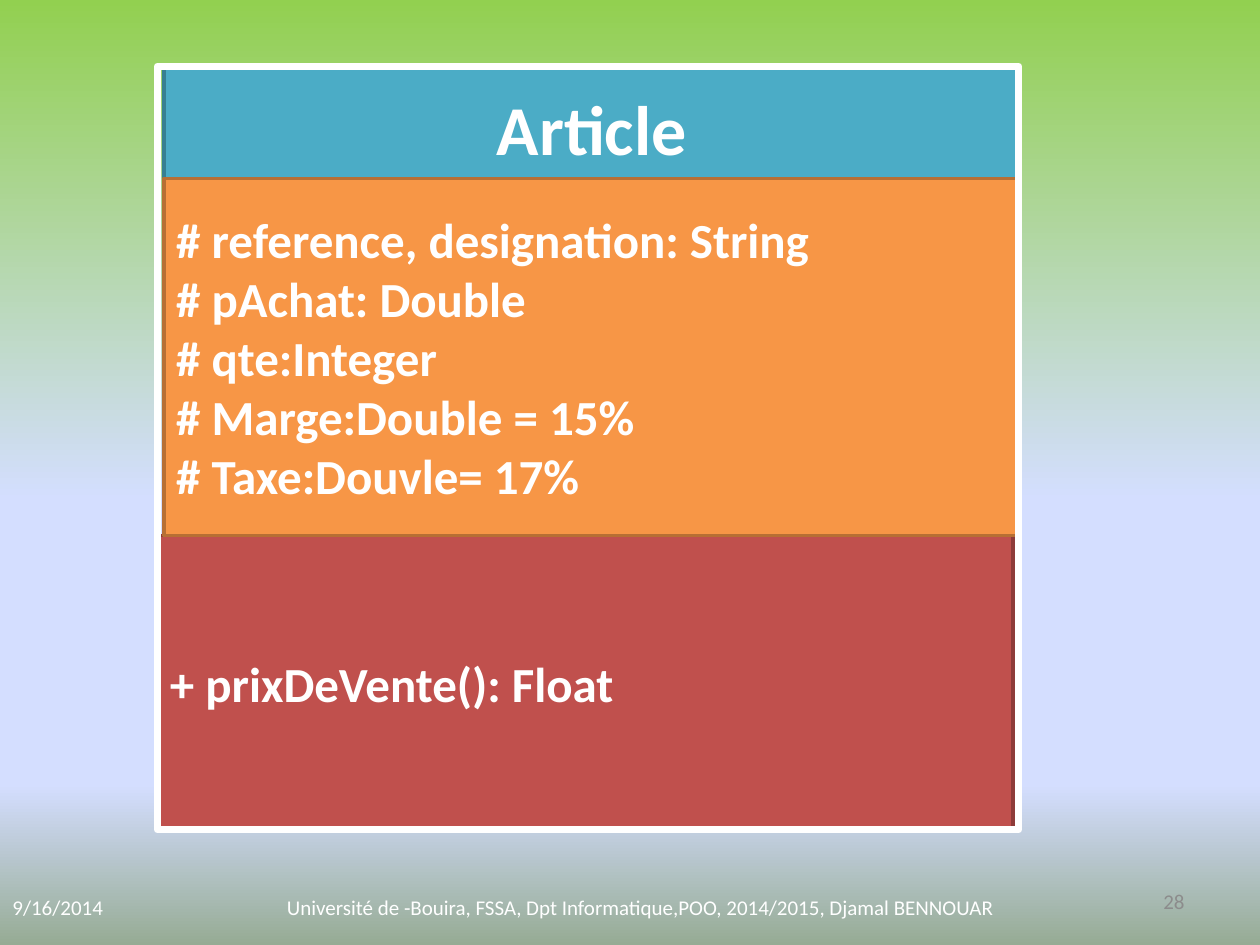
"""Build a slide with the class diagram of Article over a gradient background."""
from dataclasses import dataclass
from typing import Optional

import lxml.etree
import pptx
import pptx.dml.color
import pptx.enum.shapes
import pptx.enum.text
import pptx.oxml.ns
import pptx.util

Pt = pptx.util.Pt
Align = pptx.enum.text.PP_ALIGN


@dataclass(frozen=True)
class Theme:
    font: str = "Calibri"
    light: str = "FFFFFF"
    muted: str = "8C8C8C"
    name_fill: str = "4BACC6"
    name_line: str = "377F92"
    attribute_fill: str = "F79646"
    attribute_line: str = "B76F34"
    method_fill: str = "C0504D"
    method_line: str = "8E3B39"
    background: tuple = ((0, "92D050"), (53, "D4DEFF"), (83, "D4DEFF"), (100, "96AB94"))
    name_size: int = 40
    member_size: int = 28
    footer_size: int = 12


THEME = Theme()


@dataclass(frozen=True)
class Label:
    text: str
    size: int
    color: str = THEME.light
    bold: bool = False
    align: Align = Align.LEFT


@dataclass(frozen=True)
class Footer:
    left: float
    top: float
    width: float
    label: Label


@dataclass(frozen=True)
class Compartment:
    left: float
    top: float
    width: float
    height: float
    line: str
    line_width: float = 2
    fill: Optional[str] = None
    label: Optional[Label] = None


FOOTER_HEIGHT = 28.8
FOOTERS = (
    Footer(0, 504, 90, Label("9/16/2014", THEME.footer_size)),
    Footer(78, 504, 576, Label(
        "Université de -Bouira, FSSA, Dpt Informatique,POO, 2014/2015, Djamal BENNOUAR",
        THEME.footer_size, align=Align.CENTER)),
    Footer(516, 500.4, 168, Label("28", THEME.footer_size, THEME.muted, align=Align.RIGHT)),
)
ATTRIBUTES = "\n".join((
    "# reference, designation: String",
    "# pAchat: Double",
    "# qte:Integer",
    "# Marge:Double = 15%",
    "# Taxe:Douvle= 17%",
))
COMPARTMENTS = (
    Compartment(90, 306, 489, 168, THEME.method_line, fill=THEME.method_fill,
                label=Label("+ prixDeVente(): Float", THEME.member_size, bold=True)),
    Compartment(93.6, 38, 489, 70, THEME.name_line, fill=THEME.name_fill,
                label=Label("Article", THEME.name_size, bold=True, align=Align.CENTER)),
    Compartment(93.6, 102, 489, 204, THEME.attribute_line, fill=THEME.attribute_fill,
                label=Label(ATTRIBUTES, THEME.member_size, bold=True)),
    Compartment(90, 38, 492, 436, THEME.light, line_width=4.5),
)


def rgb(color: str) -> pptx.dml.color.RGBColor:
    return pptx.dml.color.RGBColor.from_string(color)


def paint_background(page) -> None:
    fill = page.background.fill
    fill.gradient()
    fill.gradient_angle = 270
    qn = pptx.oxml.ns.qn
    stops = next(page.background._cSld.iter(qn("a:gsLst")))
    for stop in list(stops):
        stops.remove(stop)
    for position, color in THEME.background:
        stop = lxml.etree.SubElement(stops, qn("a:gs"), pos=str(position * 1000))
        lxml.etree.SubElement(stop, qn("a:srgbClr"), val=color)


def write(box, label: Label) -> None:
    frame = box.text_frame
    frame.word_wrap = True
    frame.vertical_anchor = pptx.enum.text.MSO_ANCHOR.MIDDLE
    frame.text = label.text
    for para in frame.paragraphs:
        para.alignment = label.align
        for span in para.runs:
            span.font.name = THEME.font
            span.font.size = Pt(label.size)
            span.font.bold = label.bold
            span.font.color.rgb = rgb(label.color)


def draw_footer(page, footer: Footer) -> None:
    box = page.shapes.add_textbox(
        Pt(footer.left), Pt(footer.top), Pt(footer.width), Pt(FOOTER_HEIGHT))
    write(box, footer.label)


def draw_compartment(group, part: Compartment) -> None:
    box = group.shapes.add_shape(
        pptx.enum.shapes.MSO_SHAPE.RECTANGLE,
        Pt(part.left), Pt(part.top), Pt(part.width), Pt(part.height))
    box.shadow.inherit = False
    box.line.color.rgb = rgb(part.line)
    box.line.width = Pt(part.line_width)
    if part.fill:
        box.fill.solid()
        box.fill.fore_color.rgb = rgb(part.fill)
    else:
        box.fill.background()
    if part.label:
        write(box, part.label)


def main() -> None:
    deck = pptx.Presentation()
    deck.slide_width, deck.slide_height = Pt(720), Pt(540)
    page = deck.slides.add_slide(deck.slide_layouts[6])
    paint_background(page)
    for footer in FOOTERS:
        draw_footer(page, footer)
    diagram = page.shapes.add_group_shape()
    for part in COMPARTMENTS:
        draw_compartment(diagram, part)
    deck.save("out.pptx")


main()
